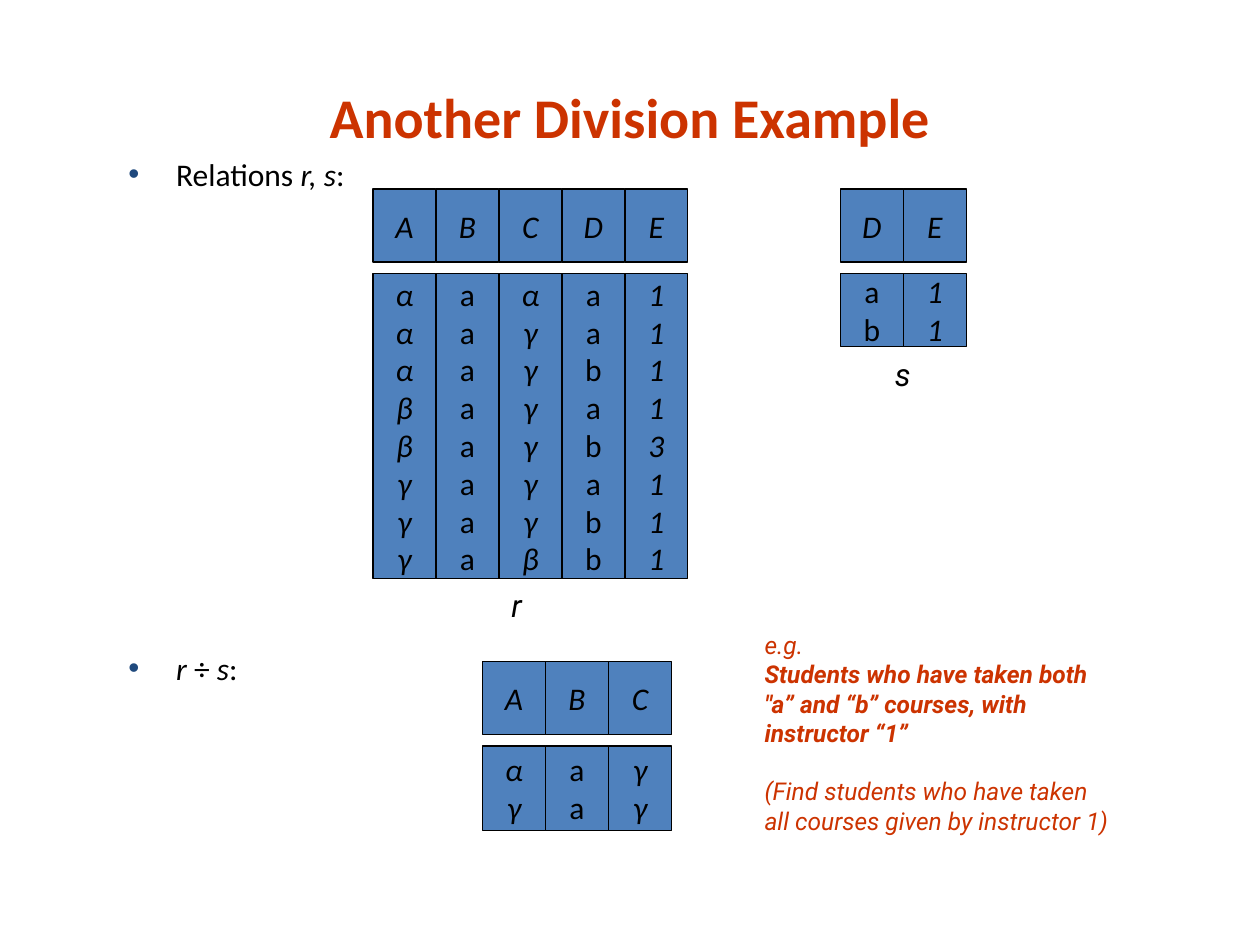
from lxml.etree import SubElement
from pptx import Presentation
from pptx.dml.color import RGBColor
from pptx.enum.shapes import MSO_SHAPE
from pptx.enum.text import MSO_ANCHOR, PP_ALIGN
from pptx.oxml.ns import qn
from pptx.util import Inches, Pt

BLACK = "000000"
BLUE = "4F81BD"
NAVY = "1F497D"
RED = "CC3300"
COLUMN_WIDTH = 0.5
HEADER_HEIGHT = 0.58
BODY_OFFSET = 0.67


def color(value):
    return RGBColor.from_string(value)


def set_font(paragraph, size, name="Calibri", fill=BLACK, bold=False, italic=False):
    font = paragraph.font
    font.size = Pt(size)
    font.name = name
    font.bold = bold
    font.italic = italic
    font.color.rgb = color(fill)


def add_text_box(slide, left, top, width, height, wrap=True, anchor=MSO_ANCHOR.TOP):
    box = slide.shapes.add_textbox(Inches(left), Inches(top), Inches(width), Inches(height))
    frame = box.text_frame
    frame.word_wrap = wrap
    frame.vertical_anchor = anchor
    return frame


def add_title(slide, text):
    frame = add_text_box(slide, 0.5, 0.3, 9, 1.25, anchor=MSO_ANCHOR.MIDDLE)
    paragraph = frame.paragraphs[0]
    paragraph.text = text
    paragraph.alignment = PP_ALIGN.CENTER
    set_font(paragraph, 32, fill=RED, bold=True)


def add_bullet(slide, top, width, parts):
    paragraph = add_text_box(slide, 0.92, top, width, 0.36).paragraphs[0]
    properties = paragraph._p.get_or_add_pPr()
    properties.set("marL", str(Inches(0.38)))
    properties.set("indent", str(-Inches(0.38)))
    bullet_color = SubElement(properties, qn("a:buClr"))
    SubElement(bullet_color, qn("a:srgbClr"), val=NAVY)
    SubElement(properties, qn("a:buFont"), typeface="Arial")
    SubElement(properties, qn("a:buChar"), char="•")
    set_font(paragraph, 18)
    for text, italic in parts:
        run = paragraph.add_run()
        run.text = text
        run.font.italic = italic


def add_cell(slide, left, top, height, lines):
    shape = slide.shapes.add_shape(
        MSO_SHAPE.RECTANGLE, Inches(left), Inches(top), Inches(COLUMN_WIDTH), Inches(height)
    )
    shape.shadow.inherit = False
    shape.fill.solid()
    shape.fill.fore_color.rgb = color(BLUE)
    shape.line.color.rgb = color(BLACK)
    shape.line.width = Pt(0.75)
    frame = shape.text_frame
    frame.word_wrap = False
    frame.vertical_anchor = MSO_ANCHOR.MIDDLE
    frame.text = "\n".join(lines)
    for paragraph in frame.paragraphs:
        paragraph.alignment = PP_ALIGN.CENTER
        set_font(paragraph, 18, italic=paragraph.text not in "ab")


def add_relation(slide, left, top, body_height, columns):
    for index, (name, values) in enumerate(columns.items()):
        column_left = left + index * COLUMN_WIDTH
        add_cell(slide, column_left, top, HEADER_HEIGHT, name)
        add_cell(slide, column_left, top + BODY_OFFSET, body_height, values)


def add_relation_label(slide, left, top, width, text):
    frame = add_text_box(slide, left, top, width, 0.4, wrap=False, anchor=MSO_ANCHOR.MIDDLE)
    paragraph = frame.paragraphs[0]
    paragraph.text = text
    paragraph.alignment = PP_ALIGN.CENTER
    set_font(paragraph, 18, name="Roboto", italic=True)


def add_explanation(slide, entries):
    frame = add_text_box(slide, 5.97, 4.95, 3, 1.75)
    for index, (text, bold, space_before) in enumerate(entries):
        paragraph = frame.add_paragraph() if index else frame.paragraphs[0]
        paragraph.text = text
        paragraph.space_before = Pt(space_before)
        set_font(paragraph, 14, name="Roboto", fill=RED, bold=bold, italic=True)


def main():
    presentation = Presentation()
    presentation.slide_width = Inches(10)
    presentation.slide_height = Inches(7.5)
    slide = presentation.slides.add_slide(presentation.slide_layouts[6])

    add_title(slide, "Another Division Example")
    add_bullet(slide, 1.18, 2.33, [("Relations ", False), ("r, s", True), (":", False)])
    add_bullet(slide, 5.1, 1.42, [("r ", True), ("÷ ", False), ("s", True), (":", False)])

    add_relation(slide, 2.96, 1.5, 2.42, {
        "A": "αααββγγγ",
        "B": "aaaaaaaa",
        "C": "αγγγγγγβ",
        "D": "aabababb",
        "E": "11113111",
    })
    add_relation(slide, 6.67, 1.5, 0.58, {"D": "ab", "E": "11"})
    add_relation(slide, 3.83, 5.25, 0.67, {"A": "αγ", "B": "aa", "C": "γγ"})
    add_relation_label(slide, 3.96, 4.6, 0.28, "r")
    add_relation_label(slide, 7, 2.77, 0.33, "s")

    add_explanation(slide, [
        ("e.g.", False, 0),
        ("Students who have taken both \"a” and “b” courses, with instructor “1”", True, 0),
        ("(Find students who have taken all courses given by instructor 1)", False, 16.5),
    ])
    presentation.save("out.pptx")


if __name__ == "__main__":
    main()
